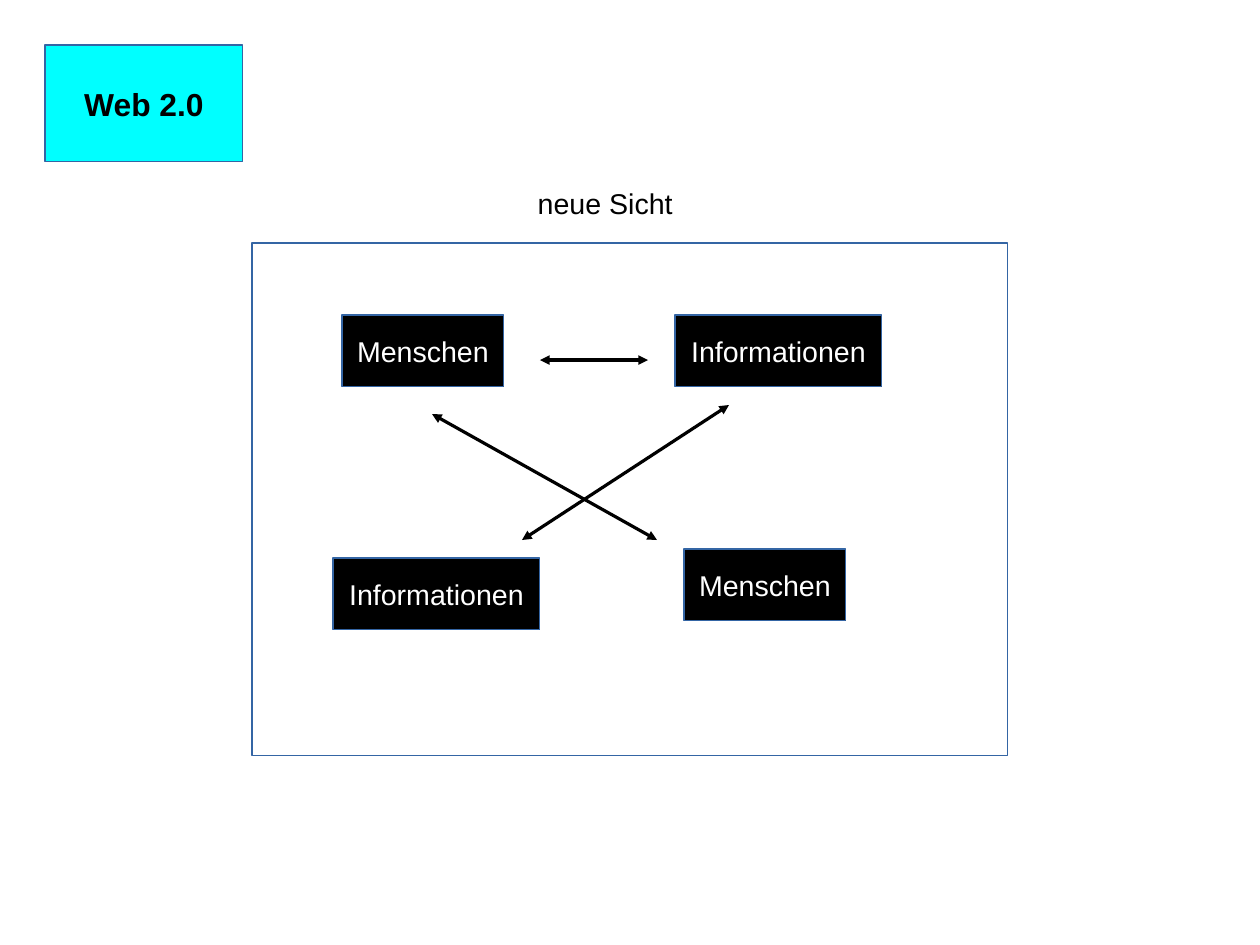
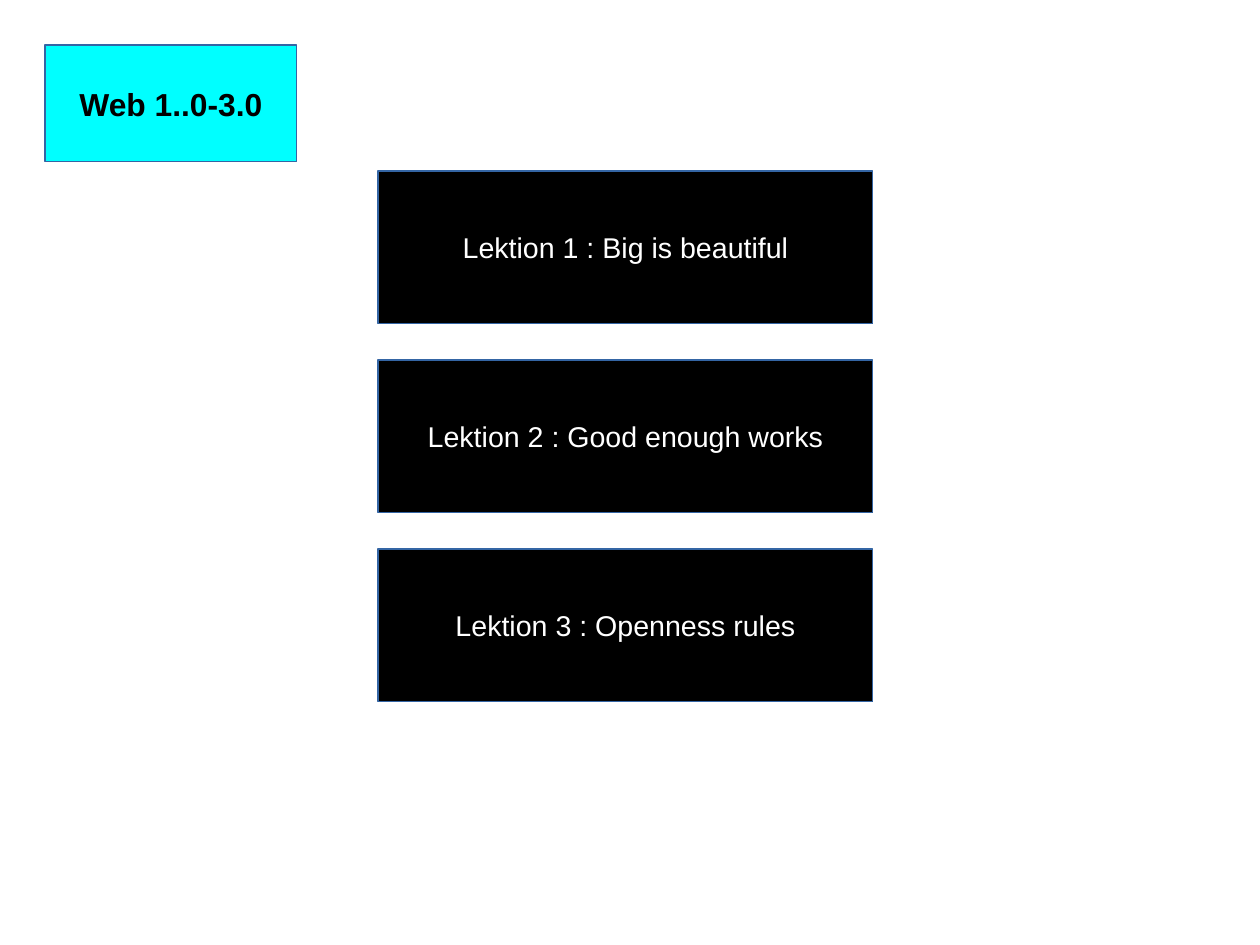
from lxml.etree import SubElement as Sub
from pptx import Presentation
from pptx.dml.color import RGBColor as Rgb
from pptx.enum.shapes import MSO_CONNECTOR as Link, MSO_SHAPE as Shape
from pptx.enum.text import MSO_ANCHOR as Anchor, MSO_AUTO_SIZE as Auto, PP_ALIGN as Align
from pptx.oxml.ns import qn
from pptx.util import Mm, Pt

HUES = {"ink": "000000", "paper": "FFFFFF", "edge": "3465A4", "title": "00FFFF"}
FONT = "Arial"
COLS, ROWS = 140, 105
CELL = Mm(2)


def hue(name):
    """Return the named colour."""
    return Rgb.from_string(HUES[name])


def grid(*cells):
    """Turn grid cells into lengths."""
    return [round(n * CELL) for n in cells]


def write(shape, text, ink, size=18, bold=False, align=Align.CENTER):
    """Put one unwrapped line of text in a shape."""
    frame = shape.text_frame
    frame.word_wrap = False
    para = frame.paragraphs[0]
    para.text = text
    para.alignment = align
    font = para.font
    font.name, font.size, font.bold = FONT, Pt(size), bold
    font.color.rgb = hue(ink)
    return frame


def panel(slide, box, fill):
    """Draw a filled rectangle with a hairline edge."""
    shape = slide.shapes.add_shape(Shape.RECTANGLE, *grid(*box))
    shape.shadow.inherit = False
    shape.fill.solid()
    shape.fill.fore_color.rgb = hue(fill)
    shape.line.color.rgb = hue("edge")
    shape.line.width = Pt(0)
    return shape


def block(slide, box, text, fill="ink", ink="paper", **style):
    """Draw a panel with centred text."""
    frame = write(panel(slide, box, fill), text, ink, **style)
    frame.vertical_anchor = Anchor.MIDDLE


def title(slide, text, width):
    """Draw the title block in the top left corner."""
    block(slide, (5, 5, width, 13), text, "title", "ink", size=20, bold=True)


def label(slide, box, text):
    """Place a plain line of text."""
    shape = slide.shapes.add_textbox(*grid(*box))
    frame = write(shape, text, "ink", align=Align.LEFT)
    frame.auto_size = Auto.SHAPE_TO_FIT_TEXT


def arrow(slide, *ends):
    """Draw a hairline with a head at both ends."""
    line = slide.shapes.add_connector(Link.STRAIGHT, *grid(*ends))
    line.line.color.rgb = hue("ink")
    line.line.width = Pt(0)
    stroke = line.line._get_or_add_ln()
    for end in ("a:headEnd", "a:tailEnd"):
        Sub(stroke, qn(end), type="triangle")
    Sub(line._element.spPr, qn("a:effectLst"))


def web(slide, box):
    """Draw the framed net of people and information."""
    left, top, wide, high = box
    panel(slide, box, "paper")
    label(slide, (left + 30.5, top - 7, 17.5, 4.8), "neue Sicht")
    people, facts = ("Menschen", 18), ("Informationen", 23)
    nodes = [(10, 8, people), (9, 35, facts), (48, 34, people), (47, 8, facts)]
    for x, y, (text, width) in nodes:
        block(slide, (left + x, top + y, width, 8), text)
    links = [(20, 19, 45, 33), (53, 18, 30, 33), (32, 13, 44, 13)]
    for x1, y1, x2, y2 in links:
        arrow(slide, left + x1, top + y1, left + x2, top + y2)


def stack(slide, box, texts, gap=4):
    """Stack equal blocks from top to bottom of the box."""
    left, top, wide, high = box
    tall = (high - gap * (len(texts) - 1)) / len(texts)
    for i, text in enumerate(texts):
        block(slide, (left, top + i * (tall + gap), wide, tall), text)


def main():
    """Build and save both slides."""
    deck = Presentation()
    deck.slide_width, deck.slide_height = grid(COLS, ROWS)
    blank = deck.slide_layouts[6]

    view = deck.slides.add_slide(blank)
    web(view, (28, 27, 84, 57))
    title(view, "Web 2.0", 22)

    rules = deck.slides.add_slide(blank)
    stack(rules, (42, 19, 55, 59), [
        "Lektion 1 : Big is beautiful",
        "Lektion 2 : Good enough works",
        "Lektion 3 : Openness rules",
    ])
    title(rules, "Web 1..0-3.0", 28)

    deck.save("out.pptx")


if __name__ == "__main__":
    main()
